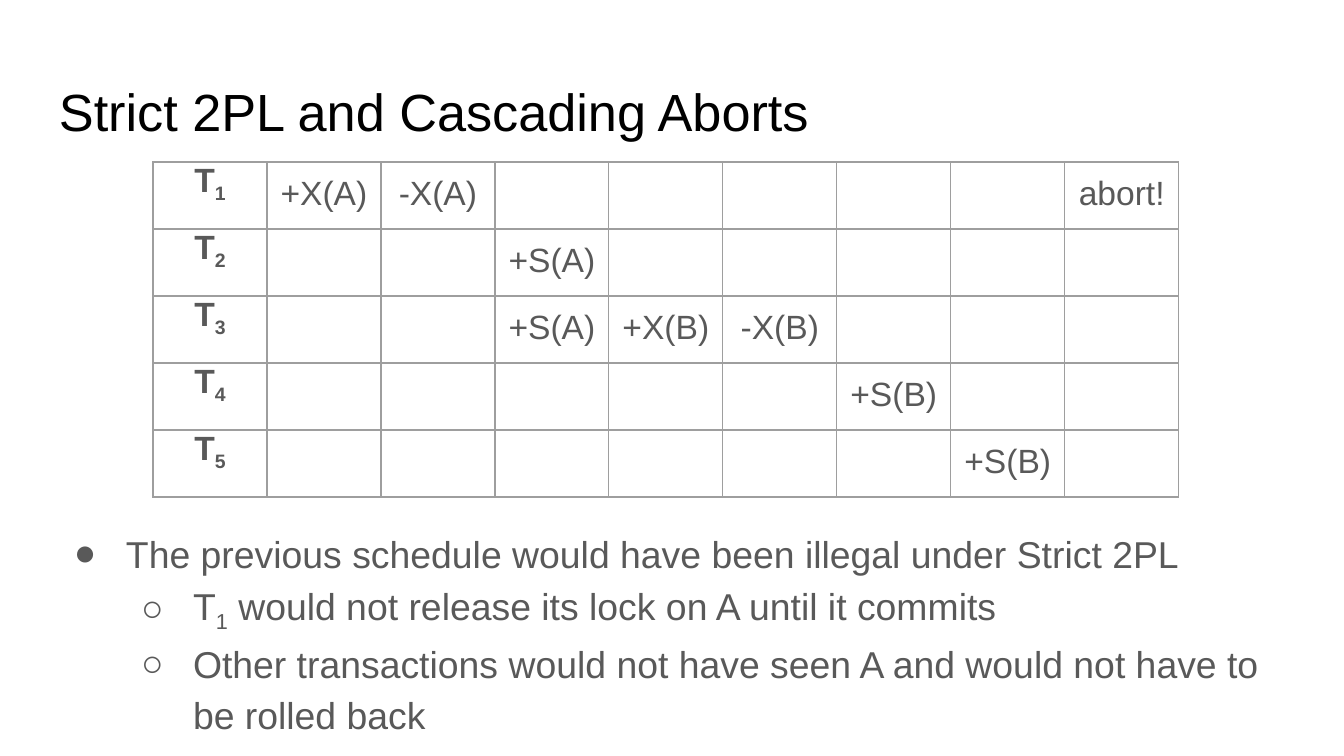
from dataclasses import dataclass

from lxml.etree import SubElement
from pptx import Presentation
from pptx.dml.color import RGBColor
from pptx.enum.text import MSO_ANCHOR as Anchor, MSO_AUTO_SIZE as AutoSize, PP_ALIGN as Align
from pptx.oxml.ns import qn
from pptx.util import Pt

PX = 6804  # EMU per px, at 134.4 px to the inch


@dataclass(frozen=True)
class Theme:
    font: str = "Arial"
    title: str = "000000"
    text: str = "595959"
    border: str = "9E9E9E"
    title_size: int = 28
    body_size: int = 20
    cell_size: int = 18


theme = Theme()
INSET = 13 * PX


def write(paragraph, text, size, color=theme.text, bold=False, align=Align.LEFT):
    """Write text as runs; the part between two underscores is a subscript."""
    paragraph.alignment = align
    for index, part in enumerate(text.split("_")):
        if not part:
            continue
        run = paragraph.add_run()
        run.text = part
        run.font.name = theme.font
        run.font.size = Pt(size)
        run.font.bold = bold
        run.font.color.rgb = RGBColor.from_string(color)
        if index % 2:
            run.font._element.set("baseline", "-25000")


def place(shape, left, top, width, height):
    shape.left, shape.top, shape.width, shape.height = (
        value * PX for value in (left, top, width, height))
    frame = shape.text_frame
    frame.margin_left = frame.margin_right = INSET
    frame.margin_top = frame.margin_bottom = INSET
    frame.vertical_anchor = Anchor.TOP
    frame.word_wrap = True
    frame.auto_size = AutoSize.NONE
    return frame


presentation = Presentation()
presentation.slide_width = 1344 * PX
presentation.slide_height = 756 * PX
slide = presentation.slides.add_slide(presentation.slide_layouts[1])
title, body = slide.placeholders

# Title
frame = place(title, 46, 66, 1253, 85)
write(frame.paragraphs[0], "Strict 2PL and Cascading Aborts", theme.title_size, theme.title)

# Bullet list
bullets = [
    (0, "The previous schedule would have been illegal under Strict 2PL"),
    (1, "T_1_ would not release its lock on A until it commits"),
    (1, "Other transactions would not have seen A and would not have to be rolled back"),
]
frame = place(body, 46, 511, 1262, 250)
for index, (level, text) in enumerate(bullets):
    paragraph = frame.paragraphs[0] if index == 0 else frame.add_paragraph()
    paragraph.level = level
    paragraph.line_spacing = 1.15
    paragraph.space_before = paragraph.space_after = Pt(0)
    properties = paragraph._p.get_or_add_pPr()
    properties.set("marL", str((level + 1) * 67 * PX))
    properties.set("indent", str(-52 * PX))
    bullet_color = SubElement(properties, qn("a:buClr"))
    SubElement(bullet_color, qn("a:srgbClr"), val=theme.text)
    SubElement(properties, qn("a:buFont"), typeface=theme.font)
    SubElement(properties, qn("a:buChar"), char="●○"[level])
    write(paragraph, text, theme.body_size)

# Schedule: one row per transaction, one column per time step
ROWS, COLUMNS = 5, 9
COLUMN_WIDTH, ROW_HEIGHT = 114, 64
schedule = {
    (0, 1): "+X(A)", (0, 2): "-X(A)", (0, 8): "abort!",
    (1, 3): "+S(A)",
    (2, 3): "+S(A)", (2, 4): "+X(B)", (2, 5): "-X(B)",
    (3, 6): "+S(B)",
    (4, 7): "+S(B)",
}
schedule.update({(row, 0): f"T_{row + 1}_" for row in range(ROWS)})

table = slide.shapes.add_table(
    ROWS, COLUMNS, 153 * PX, 162 * PX,
    COLUMNS * COLUMN_WIDTH * PX, ROWS * ROW_HEIGHT * PX).table
table.first_row = table.horz_banding = False
for column in table.columns:
    column.width = COLUMN_WIDTH * PX
for row_index, row in enumerate(table.rows):
    row.height = ROW_HEIGHT * PX
    for column_index, cell in enumerate(row.cells):
        cell.margin_left = cell.margin_right = cell.margin_bottom = INSET
        cell.margin_top = 0 if column_index == 0 else INSET
        cell.vertical_anchor = Anchor.TOP
        paragraph = cell.text_frame.paragraphs[0]
        paragraph.font.size = Pt(theme.cell_size)
        write(paragraph, schedule.get((row_index, column_index), ""), theme.cell_size,
              bold=column_index == 0, align=Align.CENTER)
        cell_properties = cell._tc.get_or_add_tcPr()
        for side in ("lnL", "lnR", "lnT", "lnB"):
            line = SubElement(cell_properties, qn(f"a:{side}"), w=str(Pt(0.75)))
            fill = SubElement(line, qn("a:solidFill"))
            SubElement(fill, qn("a:srgbClr"), val=theme.border)
        cell.fill.background()

presentation.save("out.pptx")
